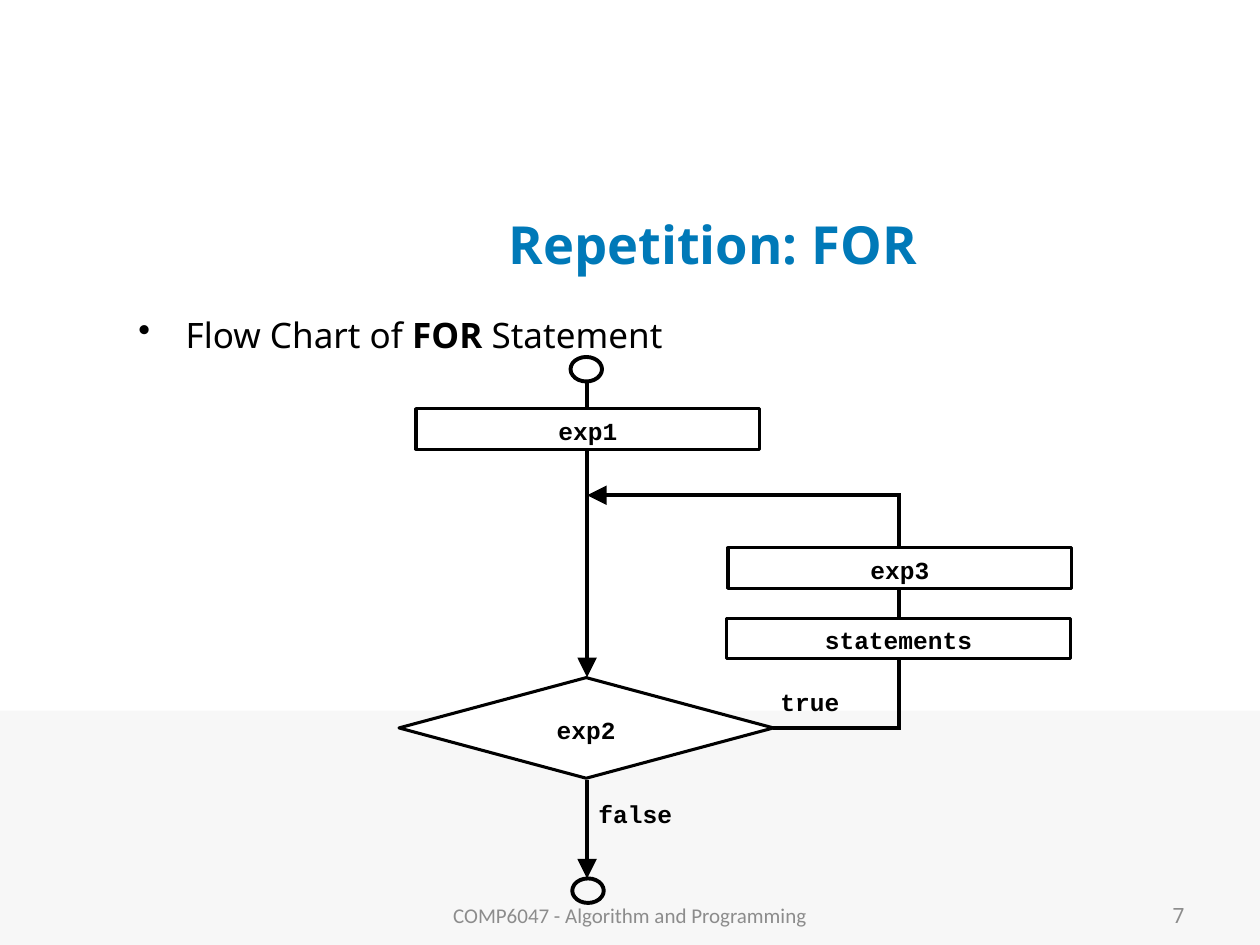
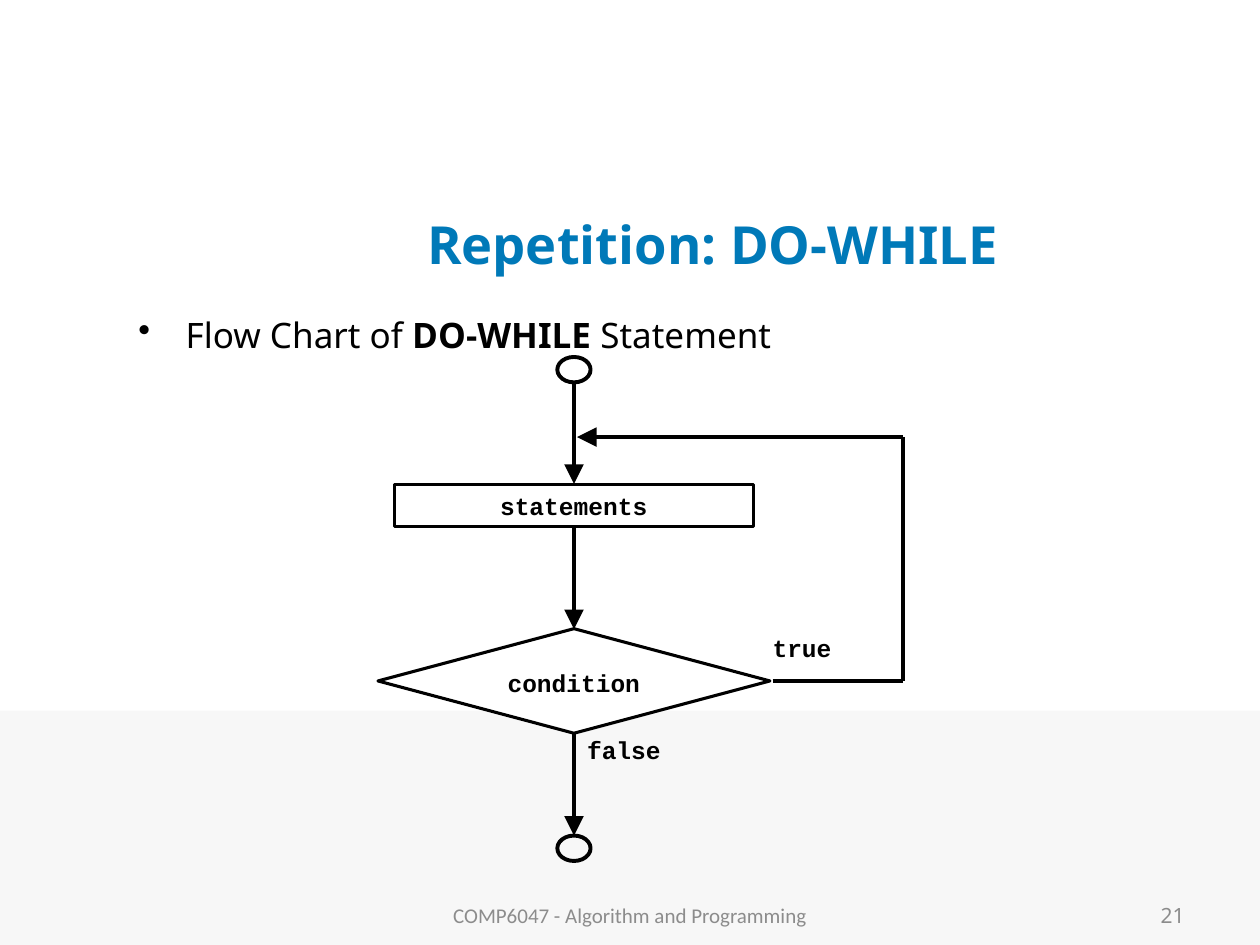
from dataclasses import dataclass
from lxml import etree
from pptx import Presentation
from pptx.dml.color import RGBColor
from pptx.enum.shapes import MSO_CONNECTOR, MSO_SHAPE
from pptx.enum.text import MSO_ANCHOR, PP_ALIGN
from pptx.oxml.ns import qn
from pptx.util import Pt

RECT, OVAL, GEM = MSO_SHAPE.RECTANGLE, MSO_SHAPE.OVAL, MSO_SHAPE.DIAMOND
LINE = MSO_CONNECTOR.STRAIGHT
TOP, MID = MSO_ANCHOR.TOP, MSO_ANCHOR.MIDDLE
LEFT, CENTER, RIGHT = PP_ALIGN.LEFT, PP_ALIGN.CENTER, PP_ALIGN.RIGHT
JUST = PP_ALIGN.JUSTIFY

BLACK, WHITE, BLUE, GRAY, PALE = "000000", "FFFFFF", "0079B8", "8C8C8C", "F7F7F7"
SANS, CODE, FOOT = "Noto Sans", "Courier New", "Calibri"
THICK, THIN = 2.25, 1.75
INSET = (7.2, 3.6, 7.2, 3.6)
BARE = (0, 0, 0, 0)


@dataclass
class Node:
    kind: int
    x: float
    y: float
    w: float
    h: float
    text: str = ""


@dataclass
class Link:
    x1: float
    y1: float
    x2: float
    y2: float
    arrow: bool = False


@dataclass
class Label:
    text: str
    x: float
    y: float


@dataclass
class Chart:
    name: str
    page: int
    links: list[Link]
    nodes: list[Node]
    labels: list[Label]


def tint(code: str) -> RGBColor:
    return RGBColor.from_string(code)


def write(frame, text: str, *, font=SANS, size=14, color=BLACK, bold=False,
          align=LEFT, anchor=TOP, inset=INSET):
    frame.word_wrap = True
    frame.vertical_anchor = anchor
    (frame.margin_left, frame.margin_top,
     frame.margin_right, frame.margin_bottom) = map(Pt, inset)
    para = frame.paragraphs[0]
    para.alignment = align
    for i, part in enumerate(text.split("*")):
        run = para.add_run()
        run.text = part
        run.font.name = font
        run.font.size = Pt(size)
        run.font.bold = bold or i % 2 == 1
        run.font.color.rgb = tint(color)
    return para


def place(slide, text: str, x: float, y: float, w: float, h: float, **form):
    box = slide.shapes.add_textbox(Pt(x), Pt(y), Pt(w), Pt(h))
    return write(box.text_frame, text, **form)


def frame(slide) -> None:
    band = slide.shapes.add_shape(RECT, Pt(0), Pt(406), Pt(720), Pt(134))
    band.shadow.inherit = False
    band.fill.solid()
    band.fill.fore_color.rgb = tint(PALE)
    band.line.fill.background()


def head(slide, chart: Chart) -> None:
    place(slide, f"Repetition: {chart.name}", 138, 108, 538.5, 62.5,
          size=30, color=BLUE, bold=True, align=CENTER, anchor=MID)
    para = place(slide, f"Flow Chart of *{chart.name}* Statement",
                 72, 180, 618, 293, size=20, align=JUST)
    para.line_spacing = 0.8
    para.space_before = Pt(4)
    props = para._p.get_or_add_pPr()
    props.set("marL", str(Pt(27)))
    props.set("indent", str(Pt(-27)))
    etree.SubElement(props, qn("a:buChar")).set("char", "\u2022")


def foot(slide, page: int) -> None:
    place(slide, str(page), 516, 508.5, 168, 28.75,
          size=12, color=GRAY, align=RIGHT, anchor=MID)
    place(slide, "COMP6047 - Algorithm and Programming", 246, 508.5, 228, 28.75,
          font=FOOT, size=12, color=GRAY, align=CENTER, anchor=MID)


def join(slide, link: Link) -> None:
    line = slide.shapes.add_connector(
        LINE, Pt(link.x1), Pt(link.y1), Pt(link.x2), Pt(link.y2))
    line.line.width = Pt(THICK)
    line.line.color.rgb = tint(BLACK)
    if link.arrow:
        tip = etree.SubElement(line.line._get_or_add_ln(), qn("a:tailEnd"))
        for key, val in (("type", "triangle"), ("w", "lg"), ("len", "lg")):
            tip.set(key, val)
    etree.SubElement(line._element.spPr, qn("a:effectLst"))


def draw(slide, node: Node) -> None:
    shape = slide.shapes.add_shape(
        node.kind, Pt(node.x), Pt(node.y), Pt(node.w), Pt(node.h))
    shape.shadow.inherit = False
    shape.line.color.rgb = tint(BLACK)
    if node.kind == OVAL:
        shape.fill.background()
        shape.line.width = Pt(THICK)
        return
    shape.fill.solid()
    shape.fill.fore_color.rgb = tint(WHITE)
    shape.line.width = Pt(THIN)
    flat = node.kind == RECT
    write(shape.text_frame, node.text, font=CODE, bold=True, align=CENTER,
          anchor=TOP if flat else MID, inset=(0, 4 if flat else 2, 0, 0))


def build(deck, chart: Chart) -> None:
    slide = deck.slides.add_slide(deck.slide_layouts[6])
    frame(slide)
    head(slide, chart)
    for link in chart.links:
        join(slide, link)
    for node in chart.nodes:
        draw(slide, node)
    for label in chart.labels:
        place(slide, label.text, label.x, label.y, 72, 28,
              font=CODE, bold=True, inset=BARE)
    foot(slide, chart.page)


FOR = Chart(
    "FOR", 7,
    [Link(335.5, 218, 335.5, 387, True),
     Link(335.5, 445.5, 335.5, 502, True),
     Link(442, 416, 513.5, 416),
     Link(513.5, 417, 513.5, 282),
     Link(513.5, 283, 335.5, 283, True)],
    [Node(OVAL, 326, 204, 18, 14),
     Node(OVAL, 327, 502, 18, 14),
     Node(RECT, 237.75, 233.5, 196.5, 23.25, "exp1"),
     Node(RECT, 416, 313, 196.5, 23.25, "exp3"),
     Node(RECT, 415.25, 353.25, 196.5, 23.25, "statements"),
     Node(GEM, 228, 387.25, 214, 57.5, "exp2")],
    [Label("true", 446, 392.5), Label("false", 342, 456.5)])

LOOP = Chart(
    "DO-WHILE", 21,
    [Link(328, 219, 328, 276.5, True),
     Link(328, 301, 328, 359.5, True),
     Link(328, 419, 328, 477.5, True),
     Link(441.5, 389.25, 516, 389.25),
     Link(516, 389.25, 516, 249.75),
     Link(516, 249.75, 329.75, 249.75, True)],
    [Node(OVAL, 318.5, 204, 19, 14.5),
     Node(OVAL, 318.5, 477.5, 19, 14.5),
     Node(RECT, 225.25, 276.75, 205.25, 24.25, "statements"),
     Node(GEM, 216, 359.25, 224, 59.75, "condition")],
    [Label("true", 441.5, 361.5), Label("false", 335.5, 420)])

deck = Presentation()
deck.slide_width, deck.slide_height = Pt(720), Pt(540)
for chart in (FOR, LOOP):
    build(deck, chart)
deck.save("out.pptx")
